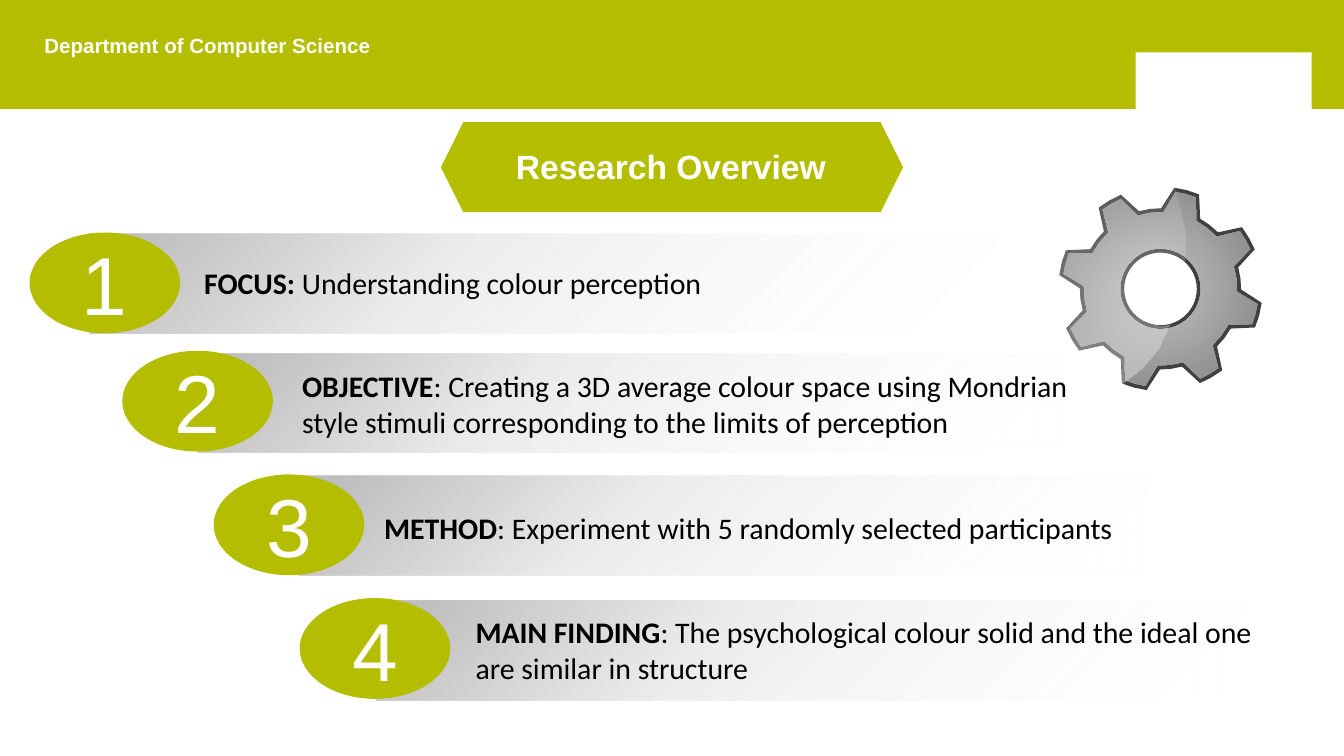
import math
import pptx
import pptx.util
import pptx.dml.color
import pptx.enum.shapes
import pptx.enum.text
import pptx.oxml
import pptx.oxml.ns

Inches = pptx.util.Inches
Pt = pptx.util.Pt
RGBColor = pptx.dml.color.RGBColor
Shape = pptx.enum.shapes.MSO_SHAPE
Align = pptx.enum.text.PP_ALIGN
Anchor = pptx.enum.text.MSO_ANCHOR
AutoSize = pptx.enum.text.MSO_AUTO_SIZE

GREEN = RGBColor(0xB5, 0xBD, 0x00)
WHITE = RGBColor(0xFF, 0xFF, 0xFF)
BLACK = RGBColor(0x00, 0x00, 0x00)
SILVER = RGBColor(0xBF, 0xBF, 0xBF)
GREY = RGBColor(0x80, 0x80, 0x80)
DARK = RGBColor(0x40, 0x40, 0x40)


def write(box, runs, font="Calibri", size=16, color=BLACK, align=Align.LEFT,
          anchor=Anchor.TOP, insets=(0.1, 0.05), grow=True):
    frame = box.text_frame
    frame.word_wrap = True
    frame.vertical_anchor = anchor
    frame.auto_size = AutoSize.SHAPE_TO_FIT_TEXT if grow else AutoSize.NONE
    frame.margin_left = frame.margin_right = Inches(insets[0])
    frame.margin_top = frame.margin_bottom = Inches(insets[1])
    para = frame.paragraphs[0]
    para.alignment = align
    for text, bold in runs:
        span = para.add_run()
        span.text = text
        span.font.name = font
        span.font.size = Pt(size)
        span.font.bold = bold
        span.font.color.rgb = color
    return para


def paint(shape, *stops, angle=None):
    shape.shadow.inherit = False
    shape.line.fill.background()
    if len(stops) == 1:
        shape.fill.solid()
        shape.fill.fore_color.rgb = stops[0]
        return
    shape.fill.background()
    marks = "".join(
        f'<a:gs pos="{place * 1000}"><a:srgbClr val="{color}">'
        f'<a:alpha val="{alpha * 1000}"/></a:srgbClr></a:gs>'
        for place, color, alpha in stops)
    course = (
        '<a:path path="circle"><a:fillToRect l="50000" t="50000" r="50000" b="50000"/></a:path>'
        if angle is None else f'<a:lin ang="{angle * 60000}" scaled="0"/>')
    gradient = pptx.oxml.parse_xml(
        f'<a:gradFill {pptx.oxml.ns.nsdecls("a")} rotWithShape="1">'
        f'<a:gsLst>{marks}</a:gsLst>{course}</a:gradFill>')
    properties = shape._element.spPr
    properties.replace(properties.find(pptx.oxml.ns.qn("a:noFill")), gradient)


deck = pptx.Presentation()
deck.slide_width = Inches(10)
deck.slide_height = deck.slide_width * 9 // 16
page = deck.slides.add_slide(deck.slide_layouts[6])
shapes = page.shapes

banner_outline = [(0, 0), (0, 0.81), (8.45, 0.81), (8.45, 0.39),
                  (9.76, 0.39), (9.76, 0.81), (10, 0.81), (10, 0)]
banner_points = [(Inches(across), Inches(down)) for across, down in banner_outline]
banner_builder = shapes.build_freeform(*banner_points[0])
banner_builder.add_line_segments(banner_points[1:], close=True)
paint(banner_builder.convert_to_shape(), GREEN)

GEAR_X, GEAR_Y = 8.635, 2.15
TEETH = [15 + 45 * tooth for tooth in range(8)]
profiles = [
    [(-14.5, 0.6), (-7.2, 0.76), (0, 0.76), (7.2, 0.76), (14.5, 0.6), (22.5, 0.6)],
    [(-12.8, 0.57), (-6.1, 0.73), (0, 0.73), (6.1, 0.73), (12.8, 0.57), (22.5, 0.57)],
]
rim, face = [[(tooth + turn, radius) for tooth in TEETH for turn, radius in profile]
             for profile in profiles]
rim_hole, face_hole = [[(turn, radius) for turn in range(0, 360, 5)] for radius in (0.27, 0.3)]
gloss = ([point for point in rim if 112 <= point[0] <= 278]
         + [(283, 0.62), (295, 0.44)]
         + [(turn, 0.27) for turn in range(311, 75, -5)]
         + [(92, 0.44), (103, 0.6)])
gear_parts = [
    ([rim, rim_hole], [DARK], None),
    ([face, face_hole], [(0, SILVER, 100), (100, GREY, 100)], None),
    ([gloss], [(0, WHITE, 10), (100, WHITE, 40)], 105),
]

bar_stops = [(5, SILVER, 100), (37, SILVER, 31), (100, WHITE, 0)]
rows = [
    ((0.67, 1.74, 6.76), (0.22, 1.73), (1.42, 1.92, 5.99, 0.37),
     "FOCUS: ", "Understanding colour perception"),
    ((1.48, 2.63, 6.43), (0.91, 2.61), (2.15, 2.69, 6.34, 0.64),
     "OBJECTIVE", ": Creating a 3D average colour space using Mondrian style stimuli "
     "corresponding to the limits of perception"),
    ((2.23, 3.54, 6.33), (1.59, 3.53), (2.76, 3.74, 5.76, 0.37),
     "METHOD", ": Experiment with 5 randomly selected participants"),
    ((2.8, 4.47, 6.43), (2.23, 4.45), (3.44, 4.52, 6.27, 0.64),
     "MAIN FINDING", ": The psychological colour solid and the ideal one are similar in structure"),
]
for left, top, width in [row[0] for row in rows]:
    bar = shapes.add_shape(Shape.RECTANGLE, Inches(left), Inches(top), Inches(width), Inches(0.74))
    paint(bar, *bar_stops, angle=45)

for contours, stops, angle in gear_parts:
    outlines = [[(Inches(GEAR_X + radius * math.cos(math.radians(turn))),
                  Inches(GEAR_Y + radius * math.sin(math.radians(turn))))
                 for turn, radius in contour] for contour in contours]
    builder = shapes.build_freeform(*outlines[0][0])
    builder.add_line_segments(outlines[0][1:], close=True)
    for hole in outlines[1:]:
        builder.move_to(*hole[0])
        builder.add_line_segments(hole[1:], close=True)
    paint(builder.convert_to_shape(), *stops, angle=angle)

for number, (_, disc_place, text_place, heading, detail) in enumerate(rows, 1):
    disc = shapes.add_shape(Shape.OVAL, *map(Inches, disc_place), Inches(1.12), Inches(0.75))
    paint(disc, GREEN)
    write(disc, [(str(number), False)], font="Arial", size=44, color=WHITE,
          align=Align.CENTER, anchor=Anchor.MIDDLE, insets=(0.08, 0.1), grow=False)
    caption = shapes.add_textbox(*map(Inches, text_place))
    write(caption, [(heading, True), (detail, False)])

title_plate = shapes.add_shape(Shape.HEXAGON, Inches(3.28), Inches(0.91), Inches(3.44), Inches(0.67))
paint(title_plate, GREEN)
title = shapes.add_textbox(Inches(3.74), Inches(1.04), Inches(2.64), Inches(0.4))
write(title, [("Research Overview", True)], font="Arial", size=18, color=WHITE)

department = shapes.add_textbox(Inches(0.33), Inches(0.28), Inches(6), Inches(0.32))
department_para = write(department, [("Department of Computer Science", True)], font="Arial",
                        size=11, color=WHITE, insets=(0, 0), grow=False)
department_para.line_spacing = 0.8
department_para.space_before = Pt(7.5)

deck.save("out.pptx")
